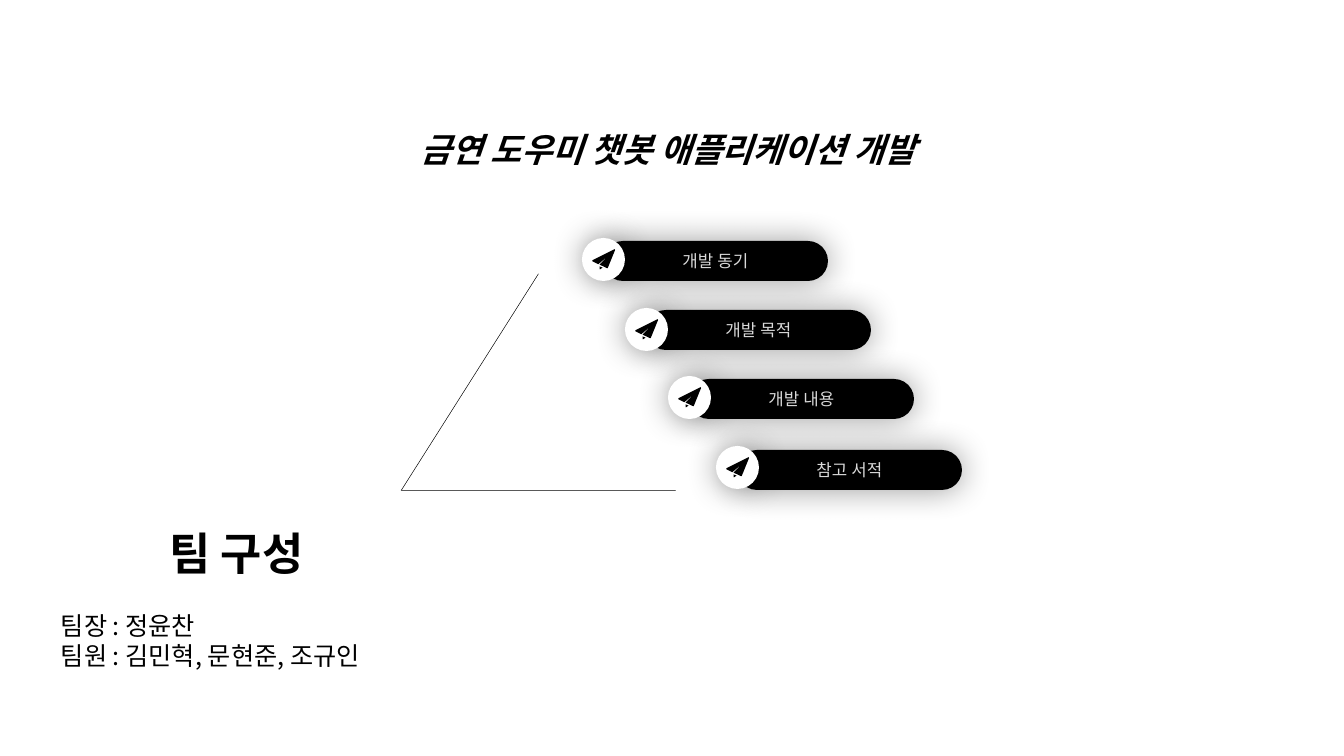
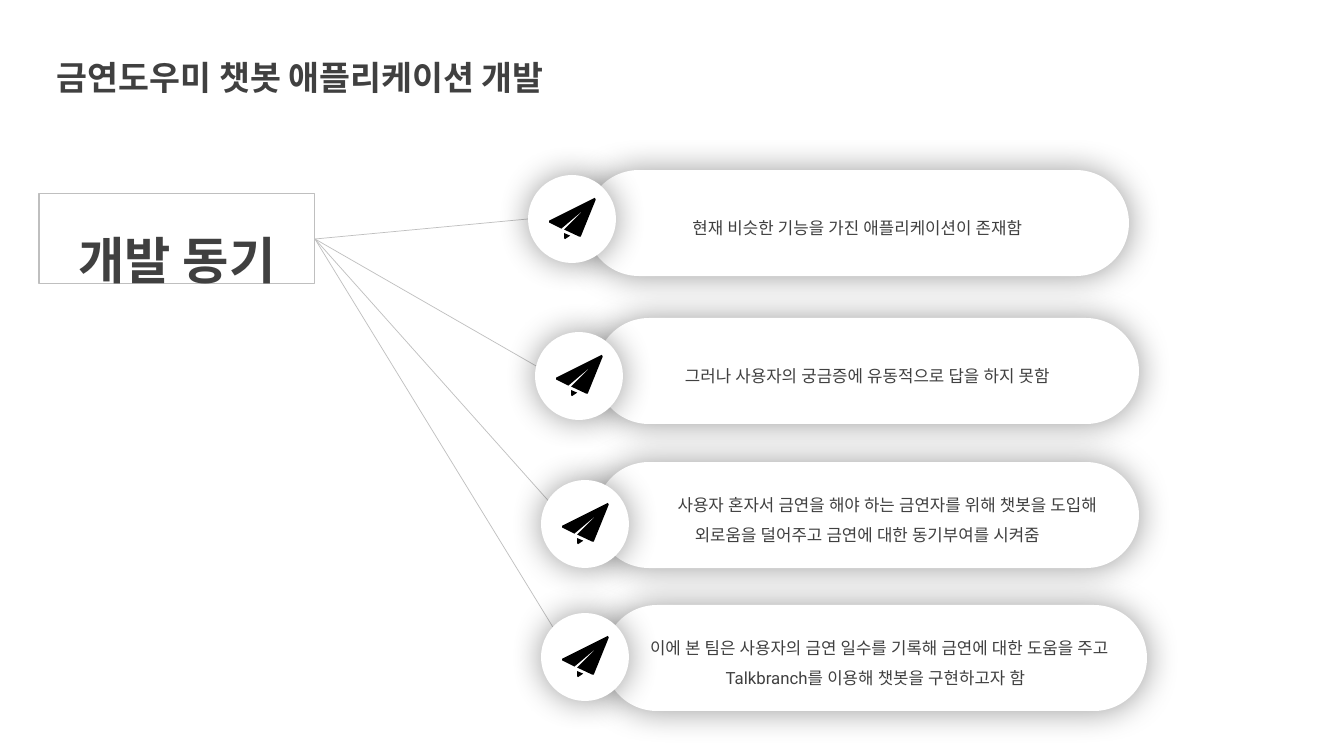
from pptx import Presentation
from pptx.dml.color import RGBColor
from pptx.enum.shapes import MSO_CONNECTOR as Link, MSO_SHAPE as Kind
from pptx.enum.text import MSO_ANCHOR as Anchor, PP_ALIGN as Align
from pptx.oxml.ns import qn
from pptx.util import Emu, Pt
from lxml.etree import SubElement

SCALE = 914400 / 100.8
WIDE, HIGH = 1344, 756
BLACK, WHITE, DARK = "000000", "FFFFFF", "404040"
PALE, GREY = "D9D9D9", "BFBFBF"
HEAD, BODY = "Noto Sans CJK KR", "Roboto"

# Paper plane outlines, in hundredths of the disc's width
PLANE = (
    ((41, 66), (48, 69), (42, 73), (41, 72)),
    ((76, 26), (77, 28), (60, 70), (58, 70), (41, 62),
     (64, 39), (38, 61), (24, 54), (24, 52)),
)


def px(n):
    return Emu(round(n * SCALE))


def tint(code):
    return RGBColor.from_string(code)


def clear(shape):
    """Empty effect list, so that no shadow is drawn."""
    SubElement(shape._element.spPr, qn("a:effectLst"))


def shade(shape, alpha=40, blur=24, dist=0, angle=0):
    shape.shadow.inherit = False
    effects = shape._element.spPr.find(qn("a:effectLst"))
    outer = SubElement(effects, qn("a:outerShdw"), blurRad=str(Pt(blur)),
                       dist=str(Pt(dist)), dir=str(angle * 60000),
                       algn="ctr", rotWithShape="0")
    color = SubElement(outer, qn("a:srgbClr"), val=BLACK)
    SubElement(color, qn("a:alpha"), val=str(alpha * 1000))


def solid(shape, fill):
    shape.fill.solid()
    shape.fill.fore_color.rgb = tint(fill)
    shape.line.fill.background()
    shape.shadow.inherit = False
    return shape


def draw(shapes, kind, box, fill):
    return solid(shapes.add_shape(kind, *map(px, box)), fill)


def style(para, text, size, color, name=HEAD, bold=False, italic=False,
          align=Align.CENTER, lead=1.5):
    para.text = text
    para.alignment = align
    para.line_spacing = lead
    font = para.font
    font.size, font.bold, font.italic = Pt(size), bold, italic
    font.color.rgb = tint(color)
    font.name = name
    SubElement(font._element, qn("a:ea"), typeface=name)


def write(slide, box):
    frame = slide.shapes.add_textbox(*map(px, box)).text_frame
    frame.word_wrap = True
    return frame


def title(slide, box, text, color, **look):
    style(write(slide, box).paragraphs[0], text, 24, color, bold=True,
          lead=Pt(43.5), **look)


def pill(slide, box, text, fill, color, lead=1.0, indent=0):
    shape = draw(slide.shapes, Kind.ROUNDED_RECTANGLE, box, fill)
    shape.adjustments[0] = 0.5
    shade(shape)
    frame = shape.text_frame
    frame.word_wrap = True
    frame.vertical_anchor = Anchor.MIDDLE
    frame.margin_left = frame.margin_right = 0
    frame.margin_top = frame.margin_bottom = 0
    para = frame.paragraphs[0]
    style(para, text, 12, color, BODY, lead=lead)
    if indent:
        para._p.get_or_add_pPr().set("indent", str(px(indent)))


def disc(slide, x, y, size):
    """White disc holding a paper plane."""
    parts = slide.shapes.add_group_shape().shapes
    shade(draw(parts, Kind.OVAL, (x, y, size, size), WHITE))
    tail, body = ([(px(x + a * size / 100), px(y + b * size / 100))
                   for a, b in path] for path in PLANE)
    pen = parts.build_freeform(*tail[0], scale=1.0)
    pen.add_line_segments(tail[1:], close=True)
    pen.move_to(*body[0])
    pen.add_line_segments(body[1:], close=True)
    solid(pen.convert_to_shape(), BLACK)


def topics(slide):
    rows = (
        (603, 241, 238, "개발 동기"),
        (646, 310, 308, "개발 목적"),
        (689, 379, 376, "개발 내용"),
        (737, 450, 446, "참고 서적"),
    )
    for x, y, top, text in rows:
        pill(slide, (x, y, 225, 40), text, BLACK, PALE)
        disc(slide, x - 21, top, 43)


def team(slide, box):
    frame = write(slide, box)
    style(frame.paragraphs[0], "팀 구성", 32, BLACK, bold=True, lead=Pt(38))
    for text in ("팀장 : 정윤찬", "팀원 : 김민혁, 문현준, 조규인"):
        style(frame.add_paragraph(), text, 18, BLACK, align=Align.LEFT,
              lead=Pt(21.5))
    frame.paragraphs[1].space_before = Pt(22.5)


def cover(slide):
    # Triangle whose shadow draws two of its edges
    shape = draw(slide.shapes, Kind.ISOSCELES_TRIANGLE,
                 (402, 273, 275, 217), WHITE)
    shade(shape, 100, 0, 1, 150)
    title(slide, (361, 103, 614, 64), "금연 도우미 챗봇 애플리케이션 개발",
          BLACK, italic=True)
    topics(slide)
    team(slide, (51, 521, 371, 156))


def label(slide, box, text):
    shape = slide.shapes.add_shape(Kind.RECTANGLE, *map(px, box))
    shape.fill.background()
    shape.line.color.rgb = tint(GREY)
    shape.line.width = Pt(0.75)
    shape.shadow.inherit = False
    frame = shape.text_frame
    frame.word_wrap = True
    frame.vertical_anchor = Anchor.TOP
    style(frame.paragraphs[0], text, 36, DARK, bold=True, lead=Pt(64.5))
    return shape


def link(slide, start, x, y):
    line = slide.shapes.add_connector(Link.STRAIGHT, 0, 0, px(x), px(y))
    line.begin_connect(start, 3)
    line.line.color.rgb = tint(GREY)
    line.line.width = Pt(0.5)
    clear(line)


def motive(slide):
    title(slide, (47, 31, 584, 64), "금연도우미 챗봇 애플리케이션 개발",
          DARK, align=Align.LEFT)
    # Cards: place, first-line indent and text
    cards = (
        (586, 170, 0, "현재 비슷한 기능을 가진 애플리케이션이 존재함"),
        (596, 318, 0, "그러나 사용자의 궁금증에 유동적으로 답을 하지 못함"),
        (596, 462, 40, "사용자 혼자서 금연을 해야 하는 금연자를 위해 챗봇을 "
                       "도입해 외로움을 덜어주고 금연에 대한 동기부여를 시켜줌"),
        (604, 605, 8, "이에 본 팀은 사용자의 금연 일수를 기록해 금연에 대한 "
                      "도움을 주고 Talkbranch를 이용해 챗봇을 구현하고자 함"),
    )
    for x, y, indent, text in cards:
        pill(slide, (x, y, 543, 106), text, WHITE, DARK, 1.5, indent)
    # Label and its links, which run under the discs
    start = label(slide, (39, 194, 276, 90), "개발 동기")
    for x, y in ((528, 219), (571, 386), (578, 534), (578, 668)):
        link(slide, start, x, y)
    for x, y in ((528, 175), (535, 332), (541, 480), (541, 613)):
        disc(slide, x, y, 88)


def main():
    deck = Presentation()
    deck.slide_width, deck.slide_height = px(WIDE), px(HIGH)
    for build in (cover, motive):
        build(deck.slides.add_slide(deck.slide_layouts[6]))
    deck.save("out.pptx")


if __name__ == "__main__":
    main()
